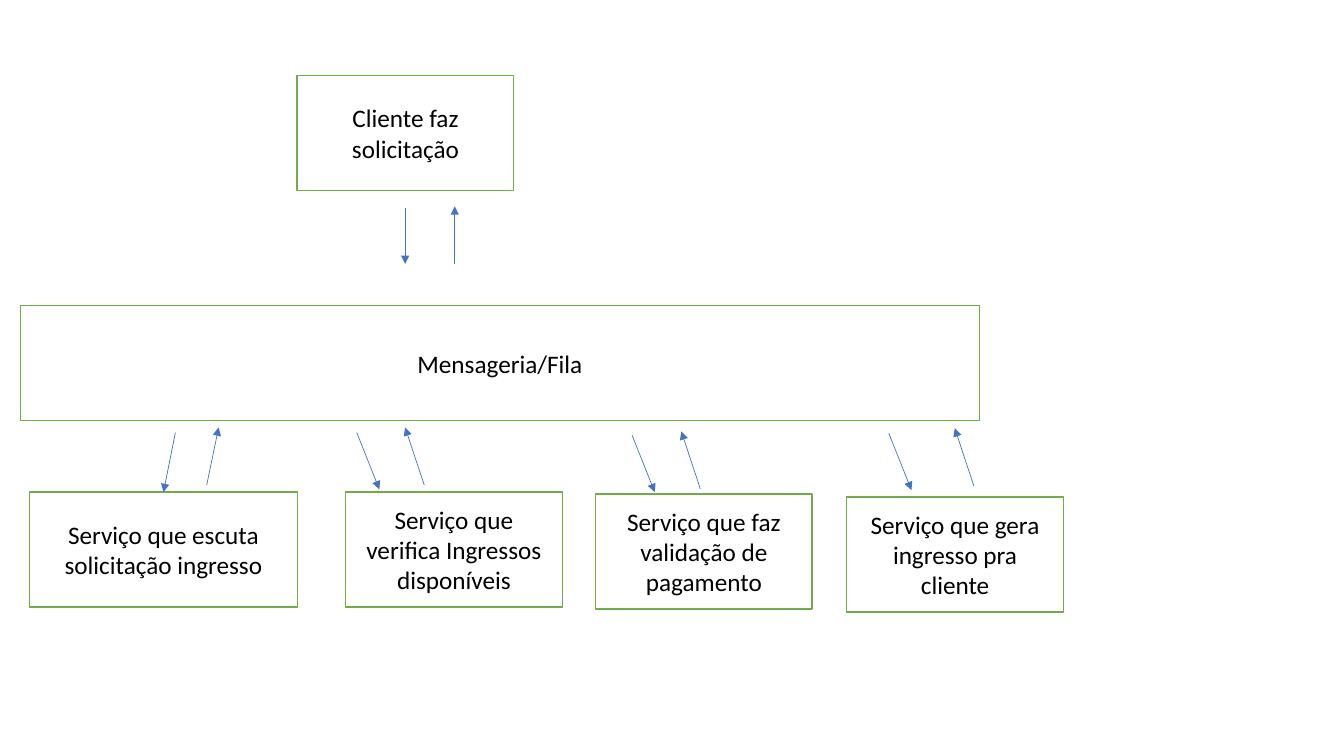
from lxml import etree
from pptx import Presentation
from pptx.dml.color import RGBColor
from pptx.enum.shapes import MSO_CONNECTOR as CONN, MSO_SHAPE as SHAPE
from pptx.enum.text import MSO_ANCHOR as ANCHOR, PP_ALIGN as ALIGN
from pptx.oxml.ns import qn
from pptx.util import Cm, Pt

WHITE = RGBColor(0xFF, 0xFF, 0xFF)
BLACK = RGBColor(0, 0, 0)
GREEN = RGBColor(0x70, 0xAD, 0x47)
BLUE = RGBColor(0x44, 0x72, 0xC4)

BOX_W, BOX_H = 5.46, 2.9
LEAN_DOWN, LEAN_UP = (0.57, 1.43), (-0.48, -1.45)

BOXES = [
    ("Cliente faz solicitação", 7.49, 1.9, BOX_W),
    ("Mensageria/Fila", 0.51, 7.7, 24.18),
    ("Serviço que escuta solicitação ingresso", 0.74, 12.4, 6.76),
    ("Serviço que verifica Ingressos disponíveis", 8.71, 12.4, BOX_W),
    ("Serviço que faz validação de pagamento", 15.01, 12.45, BOX_W),
    ("Serviço que gera ingresso pra cliente", 21.34, 12.52, BOX_W),
]

ARROWS = [
    (10.21, 5.23, (0, 1.42)),
    (11.46, 6.65, (0, -1.45)),
    (4.42, 10.9, (-0.3, 1.5)),
    (5.21, 12.22, (0.3, -1.45)),
    (8.99, 10.9, LEAN_DOWN),
    (10.69, 12.22, LEAN_UP),
    (15.93, 10.97, LEAN_DOWN),
    (17.65, 12.32, LEAN_UP),
    (22.4, 10.92, LEAN_DOWN),
    (24.54, 12.24, LEAN_UP),
]


def add_box(slide, text, left, top, width):
    sp = slide.shapes.add_shape(SHAPE.RECTANGLE, Cm(left), Cm(top), Cm(width), Cm(BOX_H))
    sp.shadow.inherit = False
    sp.fill.solid()
    sp.fill.fore_color.rgb = WHITE
    sp.line.color.rgb = GREEN
    sp.line.width = Pt(1)
    tf = sp.text_frame
    tf.word_wrap = True
    tf.vertical_anchor = ANCHOR.MIDDLE
    tf.text = text
    p = tf.paragraphs[0]
    p.alignment = ALIGN.CENTER
    r = p.runs[0]
    r.font.name = "Calibri"
    r.font.size = Pt(18)
    r.font.color.rgb = BLACK


def add_arrow(slide, x, y, shift):
    dx, dy = shift
    cxn = slide.shapes.add_connector(CONN.STRAIGHT, Cm(x), Cm(y), Cm(x + dx), Cm(y + dy))
    cxn.line.color.rgb = BLUE
    cxn.line.width = Pt(0.5)
    sp_pr = cxn._element.spPr
    etree.SubElement(sp_pr.find(qn("a:ln")), qn("a:tailEnd"), type="triangle")
    etree.SubElement(sp_pr, qn("a:effectLst"))


def main():
    prs = Presentation()
    prs.slide_width, prs.slide_height = Cm(33.87), Cm(19.05)
    slide = prs.slides.add_slide(prs.slide_layouts[6])
    for box in BOXES:
        add_box(slide, *box)
    for arrow in ARROWS:
        add_arrow(slide, *arrow)
    prs.save("out.pptx")


main()
